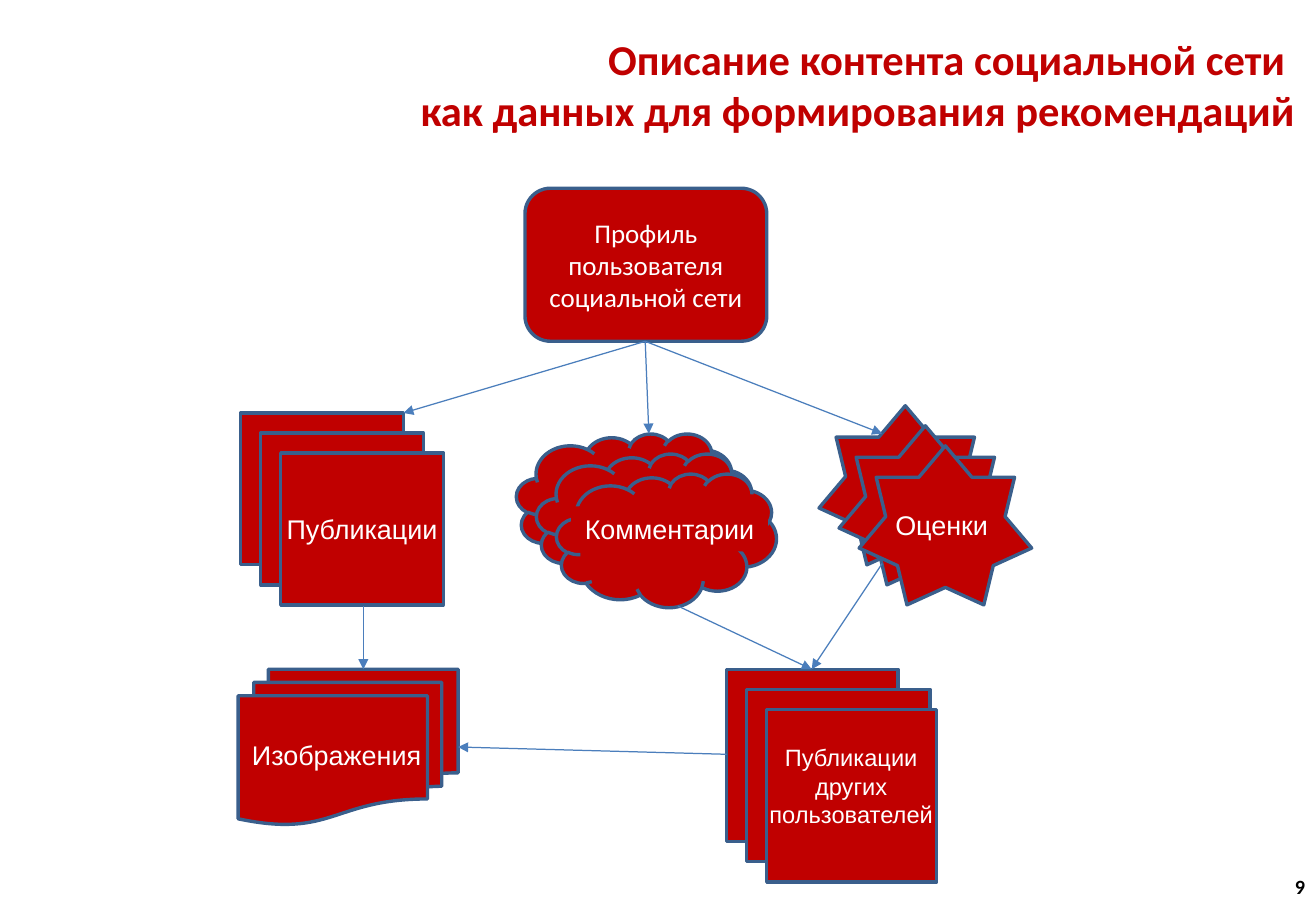
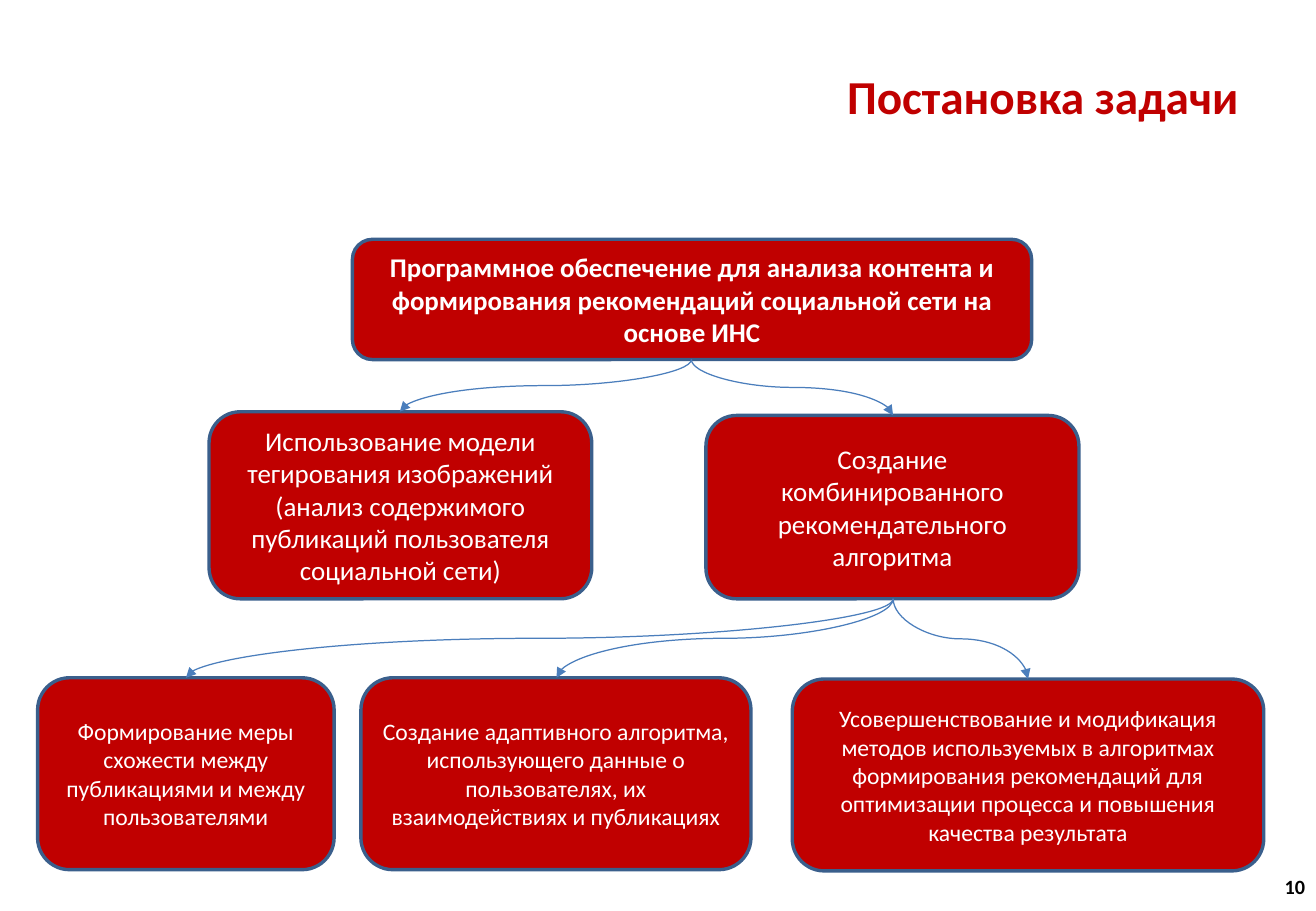
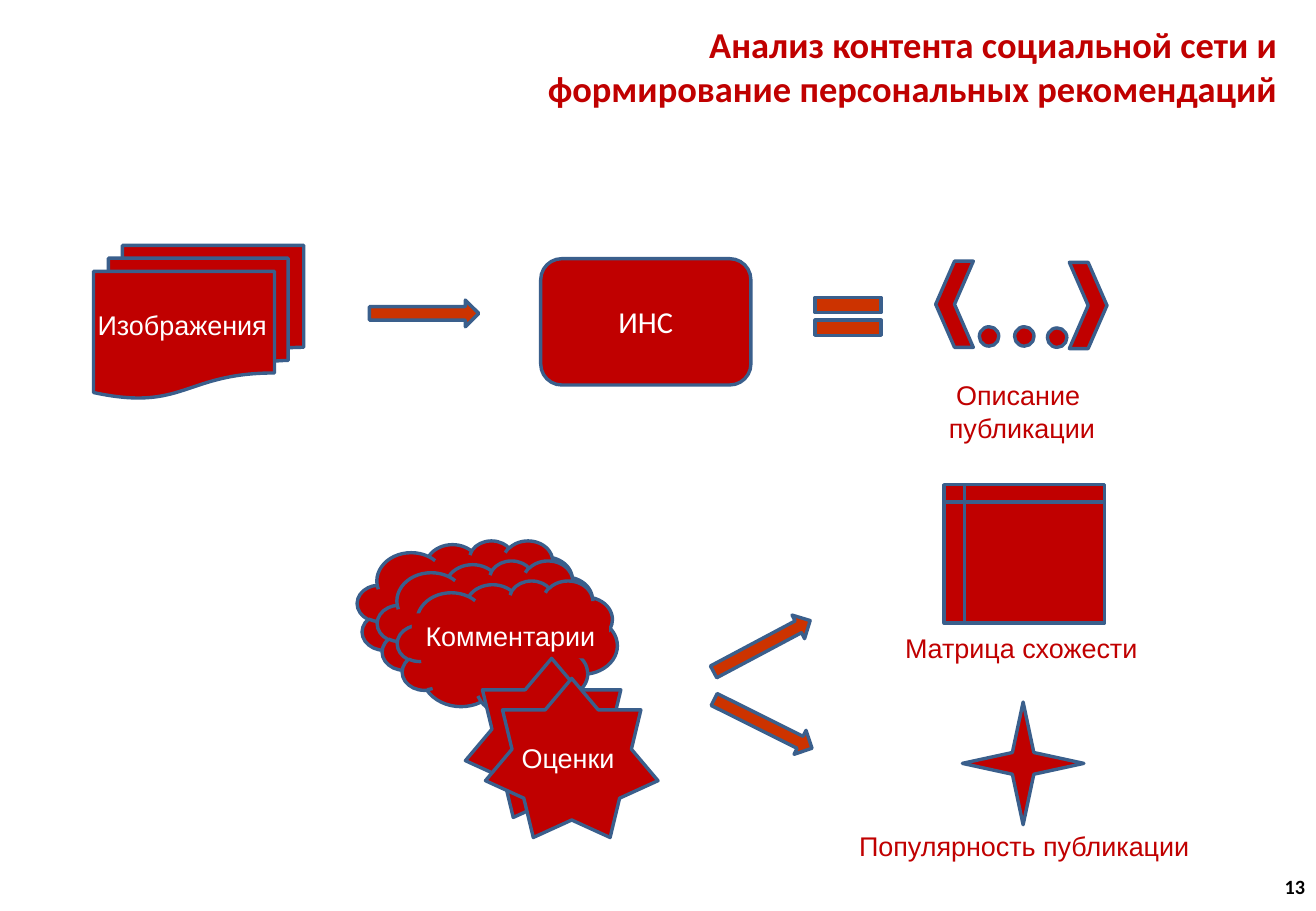
from lxml.etree import SubElement
from pptx import Presentation
from pptx.dml.color import RGBColor
from pptx.enum.shapes import MSO_CONNECTOR as Link, MSO_SHAPE as Kind
from pptx.enum.text import MSO_ANCHOR as Anchor, MSO_AUTO_SIZE as Fit, PP_ALIGN as Align
from pptx.oxml.ns import qn
from pptx.util import Inches, Pt

RED = "C00000"
ORANGE = "CC3300"
OUTLINE = "3A5F8C"
ARROW = "4B7EBC"
WHITE = "FFFFFF"
BLACK = "000000"
STACK_STEP = 0.165


def colour(value):
    return RGBColor.from_string(value)


def paint(target, value):
    target.fill.solid()
    target.fill.fore_color.rgb = colour(value)


def add_run(paragraph, text, size, font, tint, bold):
    run = paragraph.add_run()
    run.text = text
    run.font.size = Pt(size)
    run.font.name = font
    run.font.bold = bold
    run.font.color.rgb = colour(tint)


def write(frame, lines, size, font="Calibri", tint=WHITE, bold=False, align=Align.CENTER):
    for index, line in enumerate(lines):
        paragraph = frame.add_paragraph() if index else frame.paragraphs[0]
        paragraph.alignment = align
        add_run(paragraph, line, size, font, tint, bold)


def add_page(deck, number, heading, size, left, top):
    slide = deck.slides.add_slide(deck.slide_layouts[5])
    title = slide.shapes.title
    title.left, title.top = Inches(left), Inches(top)
    title.width, title.height = Inches(9.75), Inches(0.61)
    frame = title.text_frame
    frame.auto_size = Fit.NONE
    frame.word_wrap = True
    frame.vertical_anchor = Anchor.MIDDLE
    paragraph = frame.paragraphs[0]
    paragraph.alignment = Align.RIGHT
    for index, line in enumerate(heading):
        if index:
            paragraph.add_line_break()
        add_run(paragraph, line, size, "Calibri", RED, True)

    footer = slide.shapes.add_textbox(Inches(8.31), Inches(7.1), Inches(2.53), Inches(0.4))
    footer.text_frame.word_wrap = True
    footer.text_frame.vertical_anchor = Anchor.MIDDLE
    write(footer.text_frame, [number], 12, tint=BLACK, bold=True, align=Align.RIGHT)
    return slide


def add_figure(slide, kind, left, top, width, height, fill=RED, turn=0):
    figure = slide.shapes.add_shape(kind, Inches(left), Inches(top), Inches(width), Inches(height))
    figure.shadow.inherit = False
    paint(figure, fill)
    figure.line.color.rgb = colour(OUTLINE)
    figure.line.width = Pt(2)
    figure.rotation = turn
    return figure


def add_box(slide, lines, left, top, width, height, size=16, bold=False, kind=Kind.ROUNDED_RECTANGLE):
    frame = add_figure(slide, kind, left, top, width, height).text_frame
    frame.word_wrap = True
    frame.vertical_anchor = Anchor.MIDDLE
    write(frame, lines, size, bold=bold)


def add_label(slide, lines, left, top, width, height=0.37, size=16, tint=WHITE, fill=None):
    label = slide.shapes.add_textbox(Inches(left), Inches(top), Inches(width), Inches(height))
    label.text_frame.word_wrap = False
    label.text_frame.auto_size = Fit.SHAPE_TO_FIT_TEXT
    if fill:
        paint(label, fill)
    write(label.text_frame, lines, size, "Arial", tint)


def add_stack(slide, kind, left, top, widths, height):
    for index, width in enumerate(widths):
        shift = index * STACK_STEP
        add_figure(slide, kind, left + shift, top + shift, width, height)


def add_comments(slide, left, top):
    add_stack(slide, Kind.CLOUD, left, top, [1.81] * 3, 1.1)
    add_label(slide, ["Комментарии"], left + 0.45, top + 0.6, 1.62, fill=RED)


def add_ratings(slide, left, top, count):
    add_stack(slide, Kind.STAR_7_POINT, left, top, [1.42] * count, 1.31)
    shift = (count - 1) * STACK_STEP
    add_label(slide, ["Оценки"], left + shift + 0.19, top + shift + 0.47, 0.98)


def add_images(slide, left, top, width, height, label_left, label_top):
    add_figure(slide, Kind.FLOWCHART_MULTIDOCUMENT, left, top, width, height)
    add_label(slide, ["Изображения"], label_left, label_top, 1.68)


def add_arrow(slide, start, end, link=Link.STRAIGHT):
    places = [Inches(value) for value in (*start, *end)]
    arrow = slide.shapes.add_connector(link, *places)
    arrow.line.color.rgb = colour(ARROW)
    arrow.line.width = Pt(0.75)
    properties = arrow._element.spPr
    SubElement(properties.find(qn("a:ln")), qn("a:tailEnd"), type="triangle")
    SubElement(properties, qn("a:effectLst"))
    return arrow


def add_curve(slide, start, end):
    across, down = end[0] - start[0], end[1] - start[1]
    left = (start[0] + end[0] - down) / 2
    top = (start[1] + end[1] - abs(across)) / 2
    curve = add_arrow(slide, (left, top), (left + down, top + abs(across)), Link.CURVE)
    frame = curve._element.spPr.find(qn("a:xfrm"))
    frame.set("rot", str((90 if across < 0 else 270) * 60000))
    if across > 0:
        frame.set("flipH", "1")


def build_content(deck):
    heading = ["Описание контента социальной сети ", "как данных для формирования рекомендаций"]
    slide = add_page(deck, "9", heading, 25.2, 1.01, 0.39)
    add_box(slide, ["Профиль пользователя социальной сети"], 4.32, 1.55, 1.99, 1.26)
    add_stack(slide, Kind.RECTANGLE, 1.98, 3.4, [1.34] * 3, 1.25)
    add_label(slide, ["Публикации"], 2.25, 4.17, 1.46)
    add_comments(slide, 4.25, 3.57)
    add_images(slide, 1.96, 5.51, 1.81, 1.28, 1.93, 6.03)
    add_ratings(slide, 6.74, 3.34, 3)
    add_stack(slide, Kind.RECTANGLE, 5.98, 5.51, [1.41, 1.51, 1.4], 1.42)
    add_label(slide, ["Публикации", "других", "пользователей"], 6.23, 6.07, 1.55, 0.81, 14)

    profile, others = (5.31, 2.81), (6.68, 5.51)
    for start, end in (
        (profile, (5.34, 3.57)),
        (profile, (7.26, 3.57)),
        (profile, (3.32, 3.4)),
        ((2.99, 4.99), (2.99, 5.51)),
        ((5.58, 4.99), others),
        ((7.26, 4.64), others),
        ((5.98, 6.21), (3.77, 6.15)),
    ):
        add_arrow(slide, start, end)


def build_task(deck):
    slide = add_page(deck, "10", ["Постановка задачи"], 28, 0.54, 0.48)
    add_box(slide, ["Программное обеспечение для анализа контента и формирования рекомендаций "
                    "социальной сети на основе ИНС"], 2.9, 1.97, 5.59, 0.99, bold=True)
    add_box(slide, ["Использование модели тегирования изображений",
                    "(анализ содержимого публикаций пользователя социальной сети)"],
            1.72, 3.39, 3.15, 1.54)
    add_box(slide, ["Создание комбинированного рекомендательного алгоритма"], 5.81, 3.42, 3.07, 1.51)
    for text, left, top, width in (
        ("Формирование меры схожести между публикациями и между пользователями", 0.31, 5.58, 2.44),
        ("Создание адаптивного алгоритма, использующего данные о пользователях, "
         "их взаимодействиях и публикациях", 2.97, 5.58, 3.21),
        ("Усовершенствование и модификация методов используемых в алгоритмах формирования "
         "рекомендаций для оптимизации процесса и повышения качества результата", 6.52, 5.59, 3.88),
    ):
        add_box(slide, [text], left, top, width, 1.58, 14)

    software, algorithm = (5.69, 2.96), (7.35, 4.93)
    for start, end in (
        (software, (3.29, 3.39)),
        (software, (7.35, 3.42)),
        (algorithm, (1.53, 5.58)),
        (algorithm, (4.58, 5.58)),
        (algorithm, (8.46, 5.59)),
    ):
        add_curve(slide, start, end)


def build_analysis(deck):
    heading = ["Анализ контента социальной сети и ", "формирование персональных рекомендаций "]
    slide = add_page(deck, "13", heading, 21.6, 0.93, 0.24)
    add_figure(slide, Kind.CHEVRON, 8.8, 2.16, 0.31, 0.71)
    add_figure(slide, Kind.CHEVRON, 7.7, 2.15, 0.31, 0.71, turn=180)
    for left, top in ((8.06, 2.69), (8.35, 2.69), (8.62, 2.7)):
        add_figure(slide, Kind.OVAL, left, top, 0.16, 0.16)
    add_images(slide, 0.77, 2.02, 1.73, 1.26, 0.66, 2.49)
    add_box(slide, ["ИНС"], 4.45, 2.13, 1.73, 1.04, 18, kind=Kind.FLOWCHART_ALTERNATE_PROCESS)
    add_comments(slide, 2.94, 4.45)
    add_ratings(slide, 3.83, 5.42, 2)
    for left, top, turn in ((3.04, 2.47, 0), (5.82, 5.21, 332), (5.83, 5.85, 26.5)):
        add_figure(slide, Kind.RIGHT_ARROW, left, top, 0.9, 0.22, ORANGE, turn)
    add_figure(slide, Kind.MATH_EQUAL, 6.61, 2.34, 0.74, 0.53, ORANGE)
    add_figure(slide, Kind.FLOWCHART_INTERNAL_STORAGE, 7.77, 3.99, 1.32, 1.14)
    add_figure(slide, Kind.STAR_4_POINT, 7.92, 5.78, 1, 1.01)
    add_label(slide, ["Описание ", "публикации"], 7.7, 3.07, 1.42, 0.64, tint=RED)
    add_label(slide, ["Матрица схожести"], 7.3, 5.15, 2.21, tint=RED)
    add_label(slide, ["Популярность публикации"], 6.95, 6.78, 2.96, tint=RED)


def main():
    deck = Presentation()
    deck.slide_width, deck.slide_height = Inches(10.83), Inches(7.5)
    build_content(deck)
    build_task(deck)
    build_analysis(deck)
    deck.save("out.pptx")


if __name__ == "__main__":
    main()
